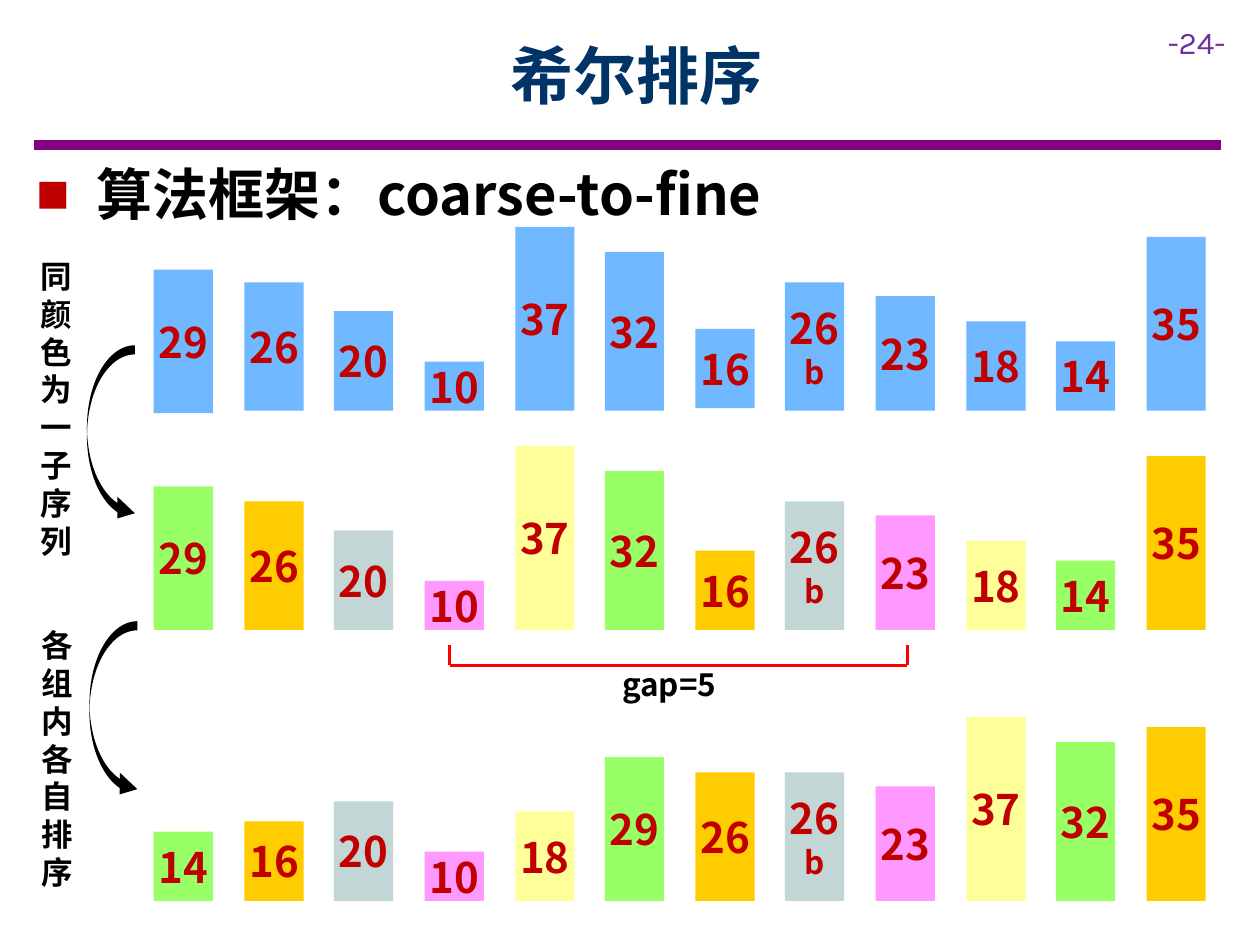
"""Build a slide that shows one pass of Shell sort as rows of bars."""
from lxml import etree
from pptx import Presentation
from pptx.dml.color import RGBColor
from pptx.enum.shapes import MSO_CONNECTOR, MSO_SHAPE
from pptx.enum.text import MSO_ANCHOR, PP_ALIGN
from pptx.oxml.ns import qn
from pptx.util import Pt

PX = 9144
LINE = MSO_CONNECTOR.STRAIGHT
RECT = MSO_SHAPE.RECTANGLE
ARROW = MSO_SHAPE.CURVED_RIGHT_ARROW
MID = MSO_ANCHOR.MIDDLE
CENTER = PP_ALIGN.CENTER
LEFT = PP_ALIGN.LEFT
SANS = "Noto Sans CJK SC"
HUES = {
    "rule": "800080", "page": "7030A0", "title": "003366", "ink": "000000",
    "red": "C00000", "gap": "FF0000", "blue": "70B8FF", "green": "99FF66",
    "gold": "FFCC00", "gray": "C2D6D6", "pink": "FF99FF", "lemon": "FFFF99",
}
GROUPS = ["green", "gold", "gray", "pink", "lemon"]
GAP = len(GROUPS)
ITEMS = ["29", "26", "20", "10", "37", "32", "16", "26b", "23", "18", "14", "35"]
SHIFTS = {"29": 2, "16": -2}


def emu(*sizes):
    return [size * PX for size in sizes]


def tint(name):
    return RGBColor.from_string(HUES[name])


def assign(thing, values):
    for name, value in values.items():
        setattr(thing, name, value)


def style(para, text, size, hue, face=SANS, bold=True, **layout):
    assign(para, layout)
    run = para.add_run()
    run.text = text
    assign(run.font, {"name": face, "size": Pt(size), "bold": bold})
    run.font.color.rgb = tint(hue)
    east = etree.SubElement(run.font._element, qn("a:ea"))
    east.set("typeface", face)


def add_text(slide, box, text, size, hue="ink", **values):
    frame = slide.shapes.add_textbox(*emu(*box)).text_frame
    frame.word_wrap = True
    para = frame.paragraphs[0]
    style(para, text, size, hue, line_spacing=Pt(size * 1.2), **values)
    return para


def add_bullet(para, mark, hue, indent):
    props = para._p.get_or_add_pPr()
    props.set("marL", str(indent * PX))
    props.set("indent", str(-indent * PX))
    color = etree.SubElement(props, qn("a:buClr"))
    etree.SubElement(color, qn("a:srgbClr")).set("val", HUES[hue])
    etree.SubElement(props, qn("a:buSzPct")).set("val", "60000")
    etree.SubElement(props, qn("a:buFont")).set("typeface", SANS)
    etree.SubElement(props, qn("a:buChar")).set("char", mark)


def add_line(slide, ends, hue, width):
    line = slide.shapes.add_connector(LINE, *emu(*ends))
    line.line.color.rgb = tint(hue)
    line.line.width = Pt(width)
    etree.SubElement(line._element.spPr, qn("a:effectLst"))


def add_shape(slide, kind, box, hue):
    shape = slide.shapes.add_shape(kind, *emu(*box))
    shape.shadow.inherit = False
    shape.fill.solid()
    shape.fill.fore_color.rgb = tint(hue)
    shape.line.fill.background()
    return shape


def add_bar(slide, index, item, base, hue):
    high = round(int(item[:2]) * 3.94)
    box = (round(122 + index * 71.64), base - high, 47, high)
    frame = add_shape(slide, RECT, box, hue).text_frame
    assign(frame, {
        "margin_left": 0, "margin_right": 0, "margin_top": 10 * PX,
        "margin_bottom": 10 * PX, "vertical_anchor": MID, "word_wrap": True,
    })
    style(frame.paragraphs[0], item[:2], 24, "red", alignment=CENTER)
    if item[2:]:
        style(frame.add_paragraph(), item[2:], 18, "red",
              alignment=CENTER, line_spacing=Pt(21.6))


def add_row(slide, items, base, hues, shifts):
    for index, item in enumerate(items):
        hue = hues[index % len(hues)]
        add_bar(slide, index, item, base + shifts.get(item, 0), hue)


def add_arrow(slide, left, top):
    arrow = add_shape(slide, ARROW, (left, top, 38, 142), "ink")
    for index, value in enumerate([0.191, 0.456, 0.366]):
        arrow.adjustments[index] = value


def add_title(slide, text):
    title = slide.shapes.title
    names = ("left", "top", "width", "height")
    assign(title, dict(zip(names, emu(90, 9, 831, 100))))
    title.text_frame.vertical_anchor = MID
    style(title.text_frame.paragraphs[0], text, 36, "title", alignment=CENTER)


def sort_groups(items):
    result = list(items)
    for start in range(GAP):
        result[start::GAP] = sorted(items[start::GAP])
    return result


def main():
    deck = Presentation()
    deck.slide_width, deck.slide_height = emu(1000, 750)
    slide = deck.slides.add_slide(deck.slide_layouts[5])
    add_title(slide, "希尔排序")
    add_line(slide, (27, 115, 969, 115), "rule", 6)
    add_text(slide, (917, 13, 83, 40), "-24-", 18, "page",
             face="Karla", bold=False)
    para = add_text(slide, (19, 122, 954, 64), " 算法框架：coarse-to-fine",
                    32, alignment=LEFT, space_after=Pt(6))
    add_bullet(para, "■", "red", 38)
    add_row(slide, ITEMS, 326, ["blue"], SHIFTS)
    add_row(slide, ITEMS, 500, GROUPS, {})
    for ends in [(720, 528, 357, 528), (357, 528, 357, 512),
                 (720, 528, 720, 512)]:
        add_line(slide, ends, "gap", 1.5)
    add_text(slide, (484, 523, 106, 40), f"gap={GAP}", 18)
    for left, top, box, text in [
        (69, 274, (22, 199, 52, 252), "同颜色为一子序列"),
        (71, 493, (23, 492, 52, 222), "各组内各自排序"),
    ]:
        add_arrow(slide, left, top)
        add_text(slide, box, text, 18, space_after=Pt(6))
    add_row(slide, sort_groups(ITEMS), 715, GROUPS, {})
    deck.save("out.pptx")


if __name__ == "__main__":
    main()
